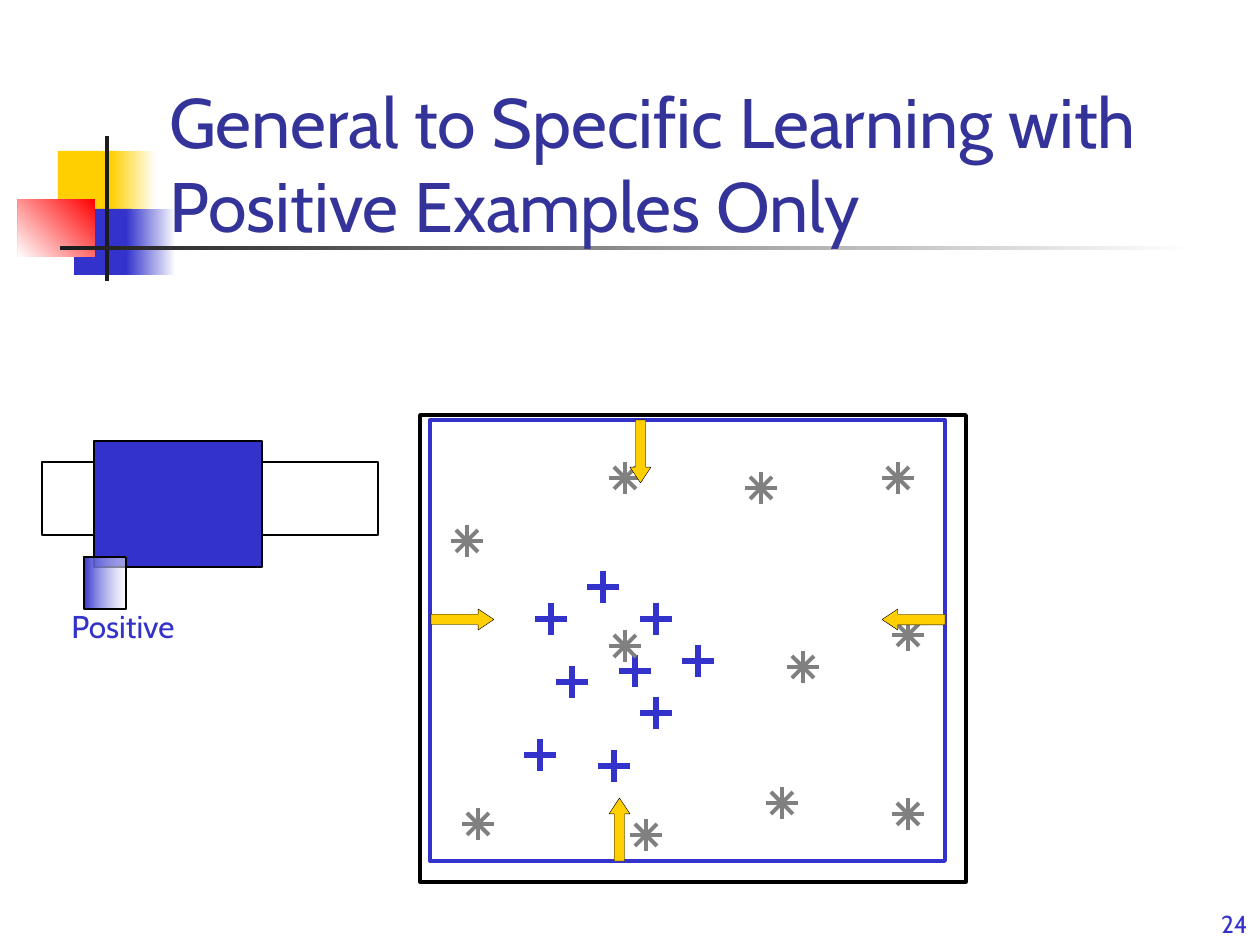
from lxml.etree import SubElement
from pptx import Presentation
from pptx.dml.color import RGBColor
from pptx.enum.shapes import MSO_CONNECTOR as CONNECTOR, MSO_SHAPE as SHAPE
from pptx.enum.text import MSO_ANCHOR as ANCHOR, PP_ALIGN as ALIGN
from pptx.oxml.ns import qn
from pptx.util import Emu, Pt

PX = 914400 / 126
FONT = "Cabin"
BLACK = RGBColor(0x00, 0x00, 0x00)
WHITE = RGBColor(0xFF, 0xFF, 0xFF)
CHARCOAL = RGBColor(0x1C, 0x1C, 0x1C)
GRAY = RGBColor(0x80, 0x80, 0x80)
BLUE = RGBColor(0x33, 0x33, 0xCC)
NAVY = RGBColor(0x33, 0x33, 0x99)
YELLOW = RGBColor(0xFF, 0xCF, 0x01)
RED = RGBColor(0xFF, 0x00, 0x00)

# Half-strokes from a marker's centre
PLUS_STROKES = [(16, 0), (0, 16)]
STAR_STROKES = PLUS_STROKES + [(11, 11), (11, -11)]

POSITIVES = [(551, 619), (656, 619), (635, 671), (572, 682), (603, 587),
             (656, 713), (540, 755), (614, 766), (698, 661)]
OTHERS = [(646, 835), (478, 824), (908, 635), (625, 646), (625, 478), (761, 488),
          (803, 667), (782, 803), (908, 814), (467, 541), (898, 478)]
# Left, top and rotation of the arrows that press the boundary inwards
ARROWS = [(431, 609, 0), (882, 609, 180), (588, 819, 270), (609, 441, 90)]


def px(*lengths):
    return [Emu(round(length * PX)) for length in lengths]


def write_text(frame, text, size, color, align=ALIGN.LEFT, anchor=ANCHOR.TOP, wrap=True):
    frame.word_wrap = wrap
    frame.vertical_anchor = anchor
    paragraph = frame.paragraphs[0]
    paragraph.alignment = align
    run = paragraph.add_run()
    run.text = text
    run.font.name = FONT
    run.font.size = Pt(size)
    run.font.color.rgb = color


class SlideBuilder:
    def __init__(self, slide, line_color=BLACK):
        self.slide = slide
        self.line_color = line_color

    def shape(self, box, fill=None, line=None, line_color=None, kind=SHAPE.RECTANGLE):
        shape = self.slide.shapes.add_shape(kind, *px(*box))
        shape.shadow.inherit = False
        if fill is None:
            shape.fill.background()
        else:
            shape.fill.solid()
            shape.fill.fore_color.rgb = fill
        if line is None:
            shape.line.fill.background()
        else:
            shape.line.width = Pt(line)
            shape.line.color.rgb = line_color or self.line_color
        return shape

    def gradient(self, box, start, end, angle=180, line=None, start_opacity=None):
        """Add a rectangle whose gradient angle runs counter-clockwise."""
        shape = self.shape(box, line=line)
        shape.fill.gradient()
        shape.fill.gradient_angle = angle
        for stop, color, position in zip(shape.fill.gradient_stops, (start, end), (0, 1)):
            stop.color.rgb = color
            stop.position = position
        if start_opacity is not None:
            color_element = next(shape.element.spPr.iter(qn("a:srgbClr")))
            SubElement(color_element, qn("a:alpha"), val=str(start_opacity * 1000))

    def arrow(self, left, top, rotation):
        arrow = self.shape((left, top, 63, 21), YELLOW, 0.25, kind=SHAPE.RIGHT_ARROW)
        arrow.adjustments[0] = 0.5
        arrow.adjustments[1] = 0.75
        arrow.rotation = rotation

    def marker(self, center, strokes, color, width):
        """Group straight strokes that cross at the centre."""
        x, y = center
        group = self.slide.shapes.add_group_shape()
        for dx, dy in strokes:
            stroke = group.shapes.add_connector(
                CONNECTOR.STRAIGHT, *px(x - dx, y - dy, x + dx, y + dy))
            stroke.line.color.rgb = color
            stroke.line.width = Pt(width)
            SubElement(stroke.element.spPr, qn("a:effectLst"))

    def text(self, box, text, **text_format):
        text_box = self.slide.shapes.add_textbox(*px(*box))
        write_text(text_box.text_frame, text, **text_format)


def main():
    presentation = Presentation()
    presentation.slide_width, presentation.slide_height = px(1260, 945)
    builder = SlideBuilder(presentation.slides.add_slide(presentation.slide_layouts[6]))

    # Title ornament
    builder.shape((58, 151, 60, 66), YELLOW)
    builder.gradient((111, 151, 45, 66), WHITE, YELLOW)
    builder.shape((74, 209, 58, 66), BLUE)
    builder.gradient((126, 209, 50, 66), WHITE, BLUE)
    builder.gradient((18, 199, 77, 58), RED, WHITE, angle=225)
    builder.shape((105, 136, 4, 145), CHARCOAL)
    builder.gradient((60, 246, 1134, 4), WHITE, CHARCOAL)

    # Example space, its boundary and the examples
    builder.shape((420, 415, 546, 467), line=2)
    for center in POSITIVES:
        builder.marker(center, PLUS_STROKES, BLUE, 3)
    builder.shape((430, 420, 515, 441), line=2.25, line_color=BLUE)
    for center in OTHERS:
        builder.marker(center, STAR_STROKES, GRAY, 2.25)
    for left, top, rotation in ARROWS:
        builder.arrow(left, top, rotation)

    builder.text((157, 136, 1061, 117), "General to Specific Learning with Positive Examples Only",
                 size=40, color=NAVY, anchor=ANCHOR.BOTTOM)

    # Legend
    builder.shape((42, 462, 336, 73), WHITE, 1.5)
    builder.shape((94, 441, 168, 126), BLUE, 1.5)
    builder.gradient((84, 557, 42, 52), WHITE, BLUE, line=0.75, start_opacity=53)
    builder.text((59, 601, 140, 50), "Positive", size=18, color=BLUE, wrap=False)

    builder.text((998, 882, 262, 63), "24", size=14, color=BLUE,
                 align=ALIGN.RIGHT, anchor=ANCHOR.BOTTOM)
    presentation.save("out.pptx")


if __name__ == "__main__":
    main()
